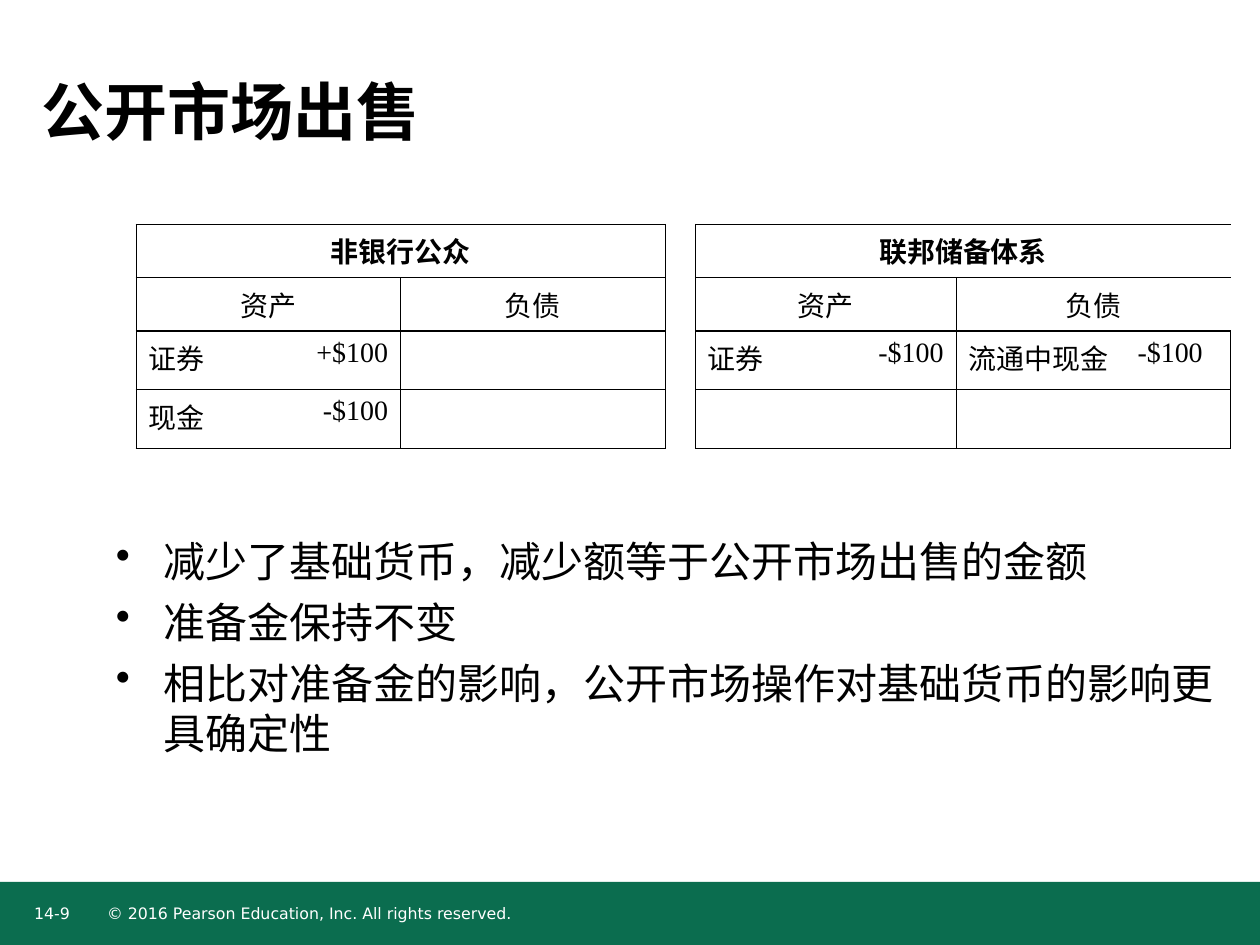
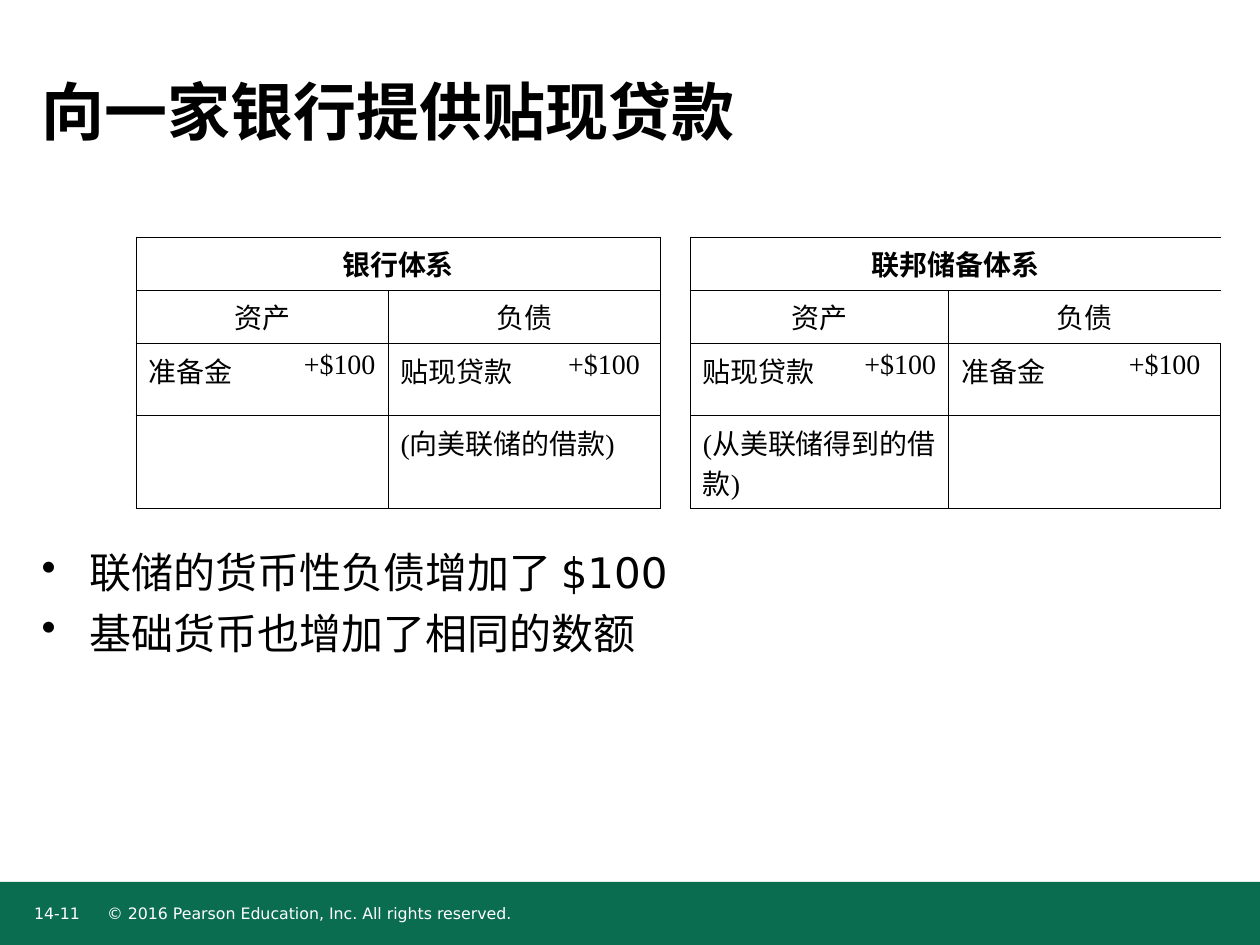
from collections import namedtuple

from lxml.etree import SubElement
from pptx import Presentation
from pptx.dml.color import RGBColor
from pptx.enum.shapes import MSO_SHAPE
from pptx.enum.text import MSO_ANCHOR, MSO_AUTO_SIZE, PP_ALIGN
from pptx.oxml.ns import qn
from pptx.util import Inches, Pt

BLACK = RGBColor(0x00, 0x00, 0x00)
WHITE = RGBColor(0xFF, 0xFF, 0xFF)
GREEN = RGBColor(0x0B, 0x6D, 0x4F)
SANS, SERIF = "DejaVu Sans", "Times New Roman"
WIDTH, HEIGHT = Inches(10), Inches(7.5)
COPYRIGHT = "© 2016 Pearson Education, Inc. All rights reserved."

GAP_COLUMN = 4
LEFT_EDGES = {0, 2, 4, 5, 7}
RIGHT_EDGES = {1, 3, 4, 6, 8}
LINE, HEADING_LINE, GAP_LINE = Pt(0.45), Pt(0.75), Pt(0.23)
EMPTY = ("", "")

Account = namedtuple("Account", "holder assets liabilities")


def across(percent):
    """Turn a percentage of the slide width into a length."""
    return round(WIDTH * percent / 100)


def down(percent):
    """Turn a percentage of the slide height into a length."""
    return round(HEIGHT * percent / 100)


def area(left, top, width, height):
    """Turn four percentages of the slide into a position and size."""
    return across(left), down(top), across(width), down(height)


def style(paragraph, size, color=BLACK, name=SANS, bold=False, align=PP_ALIGN.LEFT):
    """Set the alignment and font of a whole paragraph."""
    paragraph.alignment = align
    font = paragraph.font
    font.size, font.name, font.bold = Pt(size), name, bold
    font.color.rgb = color


def clear_margins(frame):
    """Make a text frame wrap at its very edges."""
    frame.word_wrap = True
    frame.auto_size = MSO_AUTO_SIZE.NONE
    frame.margin_left = frame.margin_right = 0
    frame.margin_top = frame.margin_bottom = 0


def add_text(slide, place, text, size, color):
    """Add a text box with one line."""
    frame = slide.shapes.add_textbox(*place).text_frame
    clear_margins(frame)
    frame.text = text
    style(frame.paragraphs[0], size, color)


def add_footer(slide, number):
    """Add the green band with the page number and copyright line."""
    band = slide.shapes.add_shape(MSO_SHAPE.RECTANGLE, *area(0, 93.33, 100, 6.67))
    band.shadow.inherit = False
    band.fill.solid()
    band.fill.fore_color.rgb = GREEN
    band.line.fill.background()
    add_text(slide, area(8.5, 95.6, 59, 2.67), COPYRIGHT, 9, WHITE)
    add_text(slide, area(2.7, 95.6, 3.9, 2.67), number, 9, WHITE)


def add_page(deck, title, number):
    """Add a slide with its title and footer."""
    slide = deck.slides.add_slide(deck.slide_layouts[5])
    add_footer(slide, number)
    heading = slide.shapes.title
    heading.left, heading.top, heading.width, heading.height = area(3.3, 4.4, 85, 14.53)
    frame = heading.text_frame
    clear_margins(frame)
    frame.vertical_anchor = MSO_ANCHOR.MIDDLE
    frame.text = title
    style(frame.paragraphs[0], 36, bold=True)
    return slide


def add_bullets(slide, place, points):
    """Add a bulleted list."""
    frame = slide.shapes.add_textbox(*place).text_frame
    clear_margins(frame)
    frame.text = "\n".join(points)
    for index, paragraph in enumerate(frame.paragraphs):
        properties = paragraph._p.get_or_add_pPr()
        properties.set("marL", str(Inches(0.38)))
        properties.set("indent", str(-Inches(0.38)))
        SubElement(properties, qn("a:buChar")).set("char", "•")
        paragraph.space_before = Pt(6 if index else 0)
        style(paragraph, 24)


def edge_widths(row, column):
    """Give the left, right, top and bottom line widths of a ledger cell."""
    gap = column == GAP_COLUMN
    left = column in LEFT_EDGES and not (row == 0 and column in (2, 7))
    right = column in RIGHT_EDGES and not (row == 0 and column in (1, 6))
    return {
        "L": left * (GAP_LINE if column in (4, 5) else LINE),
        "R": right * (GAP_LINE if column in (3, 4) else LINE),
        "T": 0 if gap else HEADING_LINE if row == 2 else LINE,
        "B": 0 if gap else HEADING_LINE if row == 1 else LINE,
    }


def draw_borders(cell, widths):
    """Draw the edges of a cell, hiding those of zero width."""
    properties = cell._tc.get_or_add_tcPr()
    for position, (side, width) in enumerate(widths.items()):
        edge = SubElement(properties, qn(f"a:ln{side}"), w=str(width))
        if width:
            fill = SubElement(edge, qn("a:solidFill"))
            SubElement(fill, qn("a:srgbClr"), val=str(BLACK))
        else:
            SubElement(edge, qn("a:noFill"))
        properties.insert(position, edge)


def write(cell, text, **look):
    """Put text in a ledger cell."""
    cell.text = text
    style(cell.text_frame.paragraphs[0], 16, name=SERIF, **look)


def fill_side(table, column, heading, entries, amount_align):
    """Write one side of an account, letting lone labels span both columns."""
    table.cell(1, column).merge(table.cell(1, column + 1))
    write(table.cell(1, column), heading, align=PP_ALIGN.CENTER)
    for row, (label, amount) in enumerate(entries, start=2):
        if label and not amount:
            table.cell(row, column).merge(table.cell(row, column + 1))
        write(table.cell(row, column), label)
        write(table.cell(row, column + 1), amount, align=amount_align)


def add_ledger(slide, top, columns, rows, accounts):
    """Add two T-accounts side by side in one table."""
    place = area(10.8, top, sum(columns), sum(rows))
    table = slide.shapes.add_table(len(rows), len(columns), *place).table
    table.first_row = table.horz_banding = False
    for column, width in zip(table.columns, columns):
        column.width = across(width)
    for row, height in zip(table.rows, rows):
        row.height = down(height)
    for row in range(len(rows)):
        for column in range(len(columns)):
            cell = table.cell(row, column)
            cell.fill.background()
            draw_borders(cell, edge_widths(row, column))
            write(cell, "")
    table.cell(0, GAP_COLUMN).merge(table.cell(2, GAP_COLUMN))
    for start, account in zip((0, GAP_COLUMN + 1), accounts):
        table.cell(0, start).merge(table.cell(0, start + 3))
        write(table.cell(0, start), account.holder, bold=True, align=PP_ALIGN.CENTER)
        fill_side(table, start, "资产", account.assets, PP_ALIGN.RIGHT)
        fill_side(table, start + 2, "负债", account.liabilities, PP_ALIGN.LEFT)


def main():
    """Build both slides and save the deck."""
    deck = Presentation()
    deck.slide_width, deck.slide_height = WIDTH, HEIGHT

    sale = add_page(deck, "公开市场出售", "14-9")
    add_bullets(sale, area(9.2, 56.67, 88.2, 34.4), [
        "减少了基础货币，减少额等于公开市场出售的金额",
        "准备金保持不变",
        "相比对准备金的影响，公开市场操作对基础货币的影响更具确定性",
    ])
    add_ledger(
        sale, 23.73,
        [12.6, 8.4, 13.4, 7.6, 2.4, 12.3, 8.4, 13.4, 8.4],
        [5.65, 5.65, 6.2, 6.2],
        [
            Account("非银行公众", [("证券", "+$100"), ("现金", "-$100")], [EMPTY, EMPTY]),
            Account("联邦储备体系", [("证券", "-$100"), EMPTY],
                    [("流通中现金", "-$100"), EMPTY]),
        ],
    )

    loan = add_page(deck, "向一家银行提供贴现贷款", "14-11")
    add_bullets(loan, area(3.3, 57.87, 93.3, 32.13), [
        "联储的货币性负债增加了 $100",
        "基础货币也增加了相同的数额",
    ])
    add_ledger(
        loan, 25.07,
        [11.7, 8.3, 13.3, 8.3, 2.4, 12.2, 8.3, 13.3, 8.3],
        [5.65, 5.65, 7.6, 9.87],
        [
            Account("银行体系", [("准备金", "+$100"), EMPTY],
                    [("贴现贷款", "+$100"), ("(向美联储的借款)", "")]),
            Account("联邦储备体系", [("贴现贷款", "+$100"), ("(从美联储得到的借款)", "")],
                    [("准备金", "+$100"), EMPTY]),
        ],
    )
    deck.save("out.pptx")


if __name__ == "__main__":
    main()
